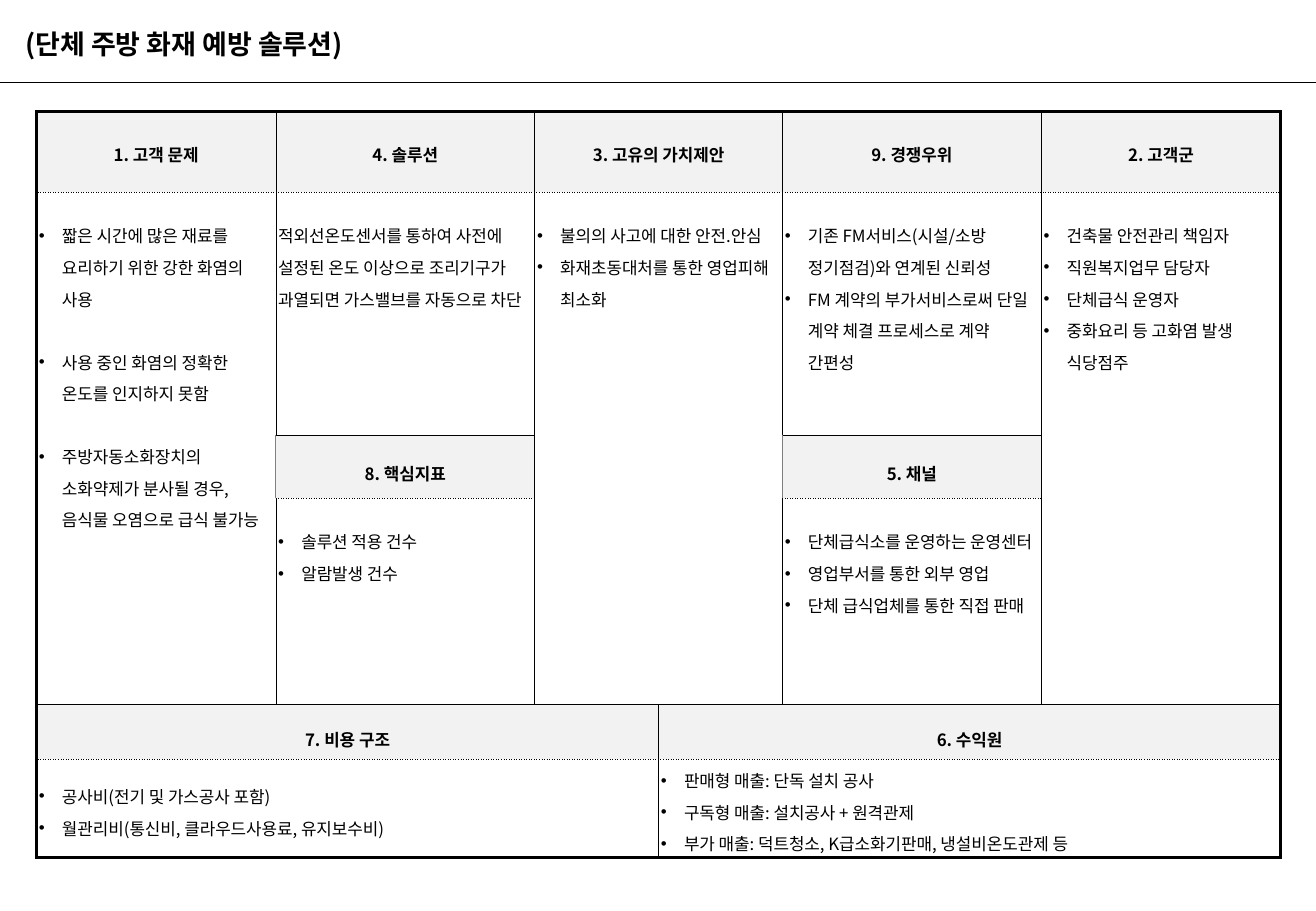
from lxml import etree
from pptx import Presentation, util as u
from pptx.dml.color import RGBColor
from pptx.enum import shapes, text
from pptx.oxml.ns import qn


def hue(code):
    return RGBColor.from_string(code)


class Deck:
    face, ink, shade = "Noto Sans CJK KR", "000000", "F2F2F2"
    thin, thick = 0.28, 1.7

    def __init__(self, wide, high):
        self.prs = Presentation()
        self.prs.slide_width = u.Inches(wide)
        self.prs.slide_height = u.Inches(high)
        self.slide = self.prs.slides.add_slide(self.prs.slide_layouts[6])

    def style(self, para, size, bold):
        font = para.font
        font.size, font.bold, font.name = u.Pt(size), bold, self.face
        font.color.rgb = hue(self.ink)
        props = para._p.pPr.find(qn("a:defRPr"))
        etree.SubElement(props, qn("a:ea"), typeface=self.face)

    def title(self, words, x, y, w, h):
        box = self.slide.shapes.add_textbox(*map(u.Inches, (x, y, w, h)))
        frame = box.text_frame
        frame.word_wrap = True
        frame.vertical_anchor = text.MSO_ANCHOR.MIDDLE
        frame.text = words
        self.style(frame.paragraphs[0], 16, True)

    def rule(self, x1, y1, x2, y2):
        line = self.slide.shapes.add_connector(
            shapes.MSO_CONNECTOR.STRAIGHT, *map(u.Inches, (x1, y1, x2, y2)))
        line.line.color.rgb = hue(self.ink)
        line.line.width = u.Pt(0.75)
        etree.SubElement(line._element.spPr, qn("a:effectLst"))

    def grid(self, x, y, cols, rows):
        frame = self.slide.shapes.add_table(
            len(rows), len(cols), *map(u.Inches, (x, y, sum(cols), sum(rows))))
        self.table = frame.table
        self.table.first_row = self.table.horz_banding = False
        for col, wide in zip(self.table.columns, cols):
            col.width = u.Inches(wide)
        for row, high in zip(self.table.rows, rows):
            row.height = u.Inches(high)

    def edge(self, cell, side, width, color, dash):
        line = etree.SubElement(cell._tc.get_or_add_tcPr(), qn("a:ln" + side),
                                w=str(u.Pt(width)))
        fill = etree.SubElement(line, qn("a:solidFill"))
        etree.SubElement(fill, qn("a:srgbClr"), val=color)
        etree.SubElement(line, qn("a:prstDash"), val=dash)

    def block(self, row, col, down, over, head, grey):
        """Merge a block of cells, draw its edges and fill it."""
        last, end = row + down - 1, col + over - 1
        rows, cols = len(self.table.rows), len(self.table.columns)
        main = self.table.cell(row, col)
        if down * over > 1:
            main.merge(self.table.cell(last, end))
        sides = (
            ("L", col == 0, "solid"),
            ("R", end == cols - 1, "solid"),
            ("T", row == 0, "solid" if head else "dot"),
            ("B", last == rows - 1, "dot" if head else "solid"))
        for r in range(row, last + 1):
            for c in range(col, end + 1):
                cell = self.table.cell(r, c)
                outer = {"L": c == col, "R": c == end,
                         "T": r == row, "B": r == last}
                for side, rim, dash in sides:
                    if (r, c) != (row, col) and not outer[side]:
                        continue
                    width = self.thick if rim else self.thin
                    if grey and side == "L":
                        self.edge(cell, side, 0.5, "808080", dash)
                    else:
                        self.edge(cell, side, width, self.ink, dash)
                if head:
                    cell.fill.solid()
                    cell.fill.fore_color.rgb = hue(self.shade)
                else:
                    cell.fill.background()
        return main

    def label(self, cell, lines, top, middle, space, bold, bullet, gap=0):
        cell.margin_left = cell.margin_right = u.Inches(0.02)
        cell.margin_top, cell.margin_bottom = u.Inches(top), u.Inches(0.01)
        anchor = text.MSO_ANCHOR
        cell.vertical_anchor = anchor.MIDDLE if middle else anchor.TOP
        cell.text = "\n".join(lines)
        for i, para in enumerate(cell.text_frame.paragraphs):
            para.line_spacing = space
            if gap and i:
                para.space_before = u.Pt(gap)
            if bullet:
                props = para._p.get_or_add_pPr()
                props.set("marL", str(u.Inches(0.19)))
                props.set("indent", str(-u.Inches(0.19)))
                etree.SubElement(props, qn("a:buFont"), typeface="Arial")
                etree.SubElement(props, qn("a:buChar"), char="•")
            if bold:
                para.alignment = text.PP_ALIGN.CENTER
            self.style(para, 10, bold)

    def head(self, row, col, over, words):
        cell = self.block(row, col, 1, over, True, row == 2)
        self.label(cell, [words], 0.01, True, 1.2 if row == 0 else 1.6,
                   True, False)

    def body(self, row, col, down, over, lines, bullet=True, gap=0):
        cell = self.block(row, col, down, over, False, False)
        foot = row == 5
        self.label(cell, lines, 0.01 if foot else 0.2, foot, 1.3,
                   False, bullet, gap)


def main():
    deck = Deck(10.83, 7.5)

    # Title band
    deck.rule(0, 0.68, 10.83, 0.68)
    deck.title("(단체 주방 화재 예방 솔루션)", 0.11, 0.09, 6.29, 0.54)

    # Lean canvas
    deck.grid(0.3, 0.92, [1.97, 2.13, 1.02, 1.02, 2.13, 1.97],
              [0.66, 2, 0.52, 1.7, 0.45, 0.81])

    # Headings: row, column, columns spanned, words
    for part in (
            (0, 0, 1, "1. 고객 문제"),
            (0, 1, 1, "4. 솔루션"),
            (0, 2, 2, "3. 고유의 가치제안"),
            (0, 4, 1, "9. 경쟁우위"),
            (0, 5, 1, "2. 고객군"),
            (2, 1, 1, "8. 핵심지표"),
            (2, 4, 1, "5. 채널"),
            (4, 0, 3, "7. 비용 구조"),
            (4, 3, 3, "6. 수익원")):
        deck.head(*part)

    # Upper contents
    deck.body(1, 0, 3, 1, [
        "짧은 시간에 많은 재료를 요리하기 위한 강한 화염의 사용",
        "사용 중인 화염의 정확한 온도를 인지하지 못함",
        "주방자동소화장치의 소화약제가 분사될 경우, 음식물 오염으로 급식 불가능"],
        gap=18.7)
    deck.body(1, 1, 1, 1, [
        "적외선온도센서를 통하여 사전에 설정된 온도 이상으로 조리기구가 "
        "과열되면 가스밸브를 자동으로 차단"], bullet=False)
    deck.body(1, 2, 3, 2, [
        "불의의 사고에 대한 안전.안심",
        "화재초동대처를 통한 영업피해 최소화"])
    deck.body(1, 4, 1, 1, [
        "기존 FM서비스(시설/소방 정기점검)와 연계된 신뢰성",
        "FM 계약의 부가서비스로써 단일 계약 체결 프로세스로 계약 간편성"])
    deck.body(1, 5, 3, 1, [
        "건축물 안전관리 책임자", "직원복지업무 담당자", "단체급식 운영자",
        "중화요리 등 고화염 발생 식당점주"])

    # Middle contents
    deck.body(3, 1, 1, 1, ["솔루션 적용 건수", "알람발생 건수"])
    deck.body(3, 4, 1, 1, [
        "단체급식소를 운영하는 운영센터", "영업부서를 통한 외부 영업",
        "단체 급식업체를 통한 직접 판매"])

    # Costs and revenue
    deck.body(5, 0, 1, 3, [
        "공사비(전기 및 가스공사 포함)",
        "월관리비(통신비, 클라우드사용료, 유지보수비)"])
    deck.body(5, 3, 1, 3, [
        "판매형 매출: 단독 설치 공사", "구독형 매출: 설치공사 + 원격관제",
        "부가 매출: 덕트청소, K급소화기판매, 냉설비온도관제 등"])

    deck.prs.save("out.pptx")


if __name__ == "__main__":
    main()
